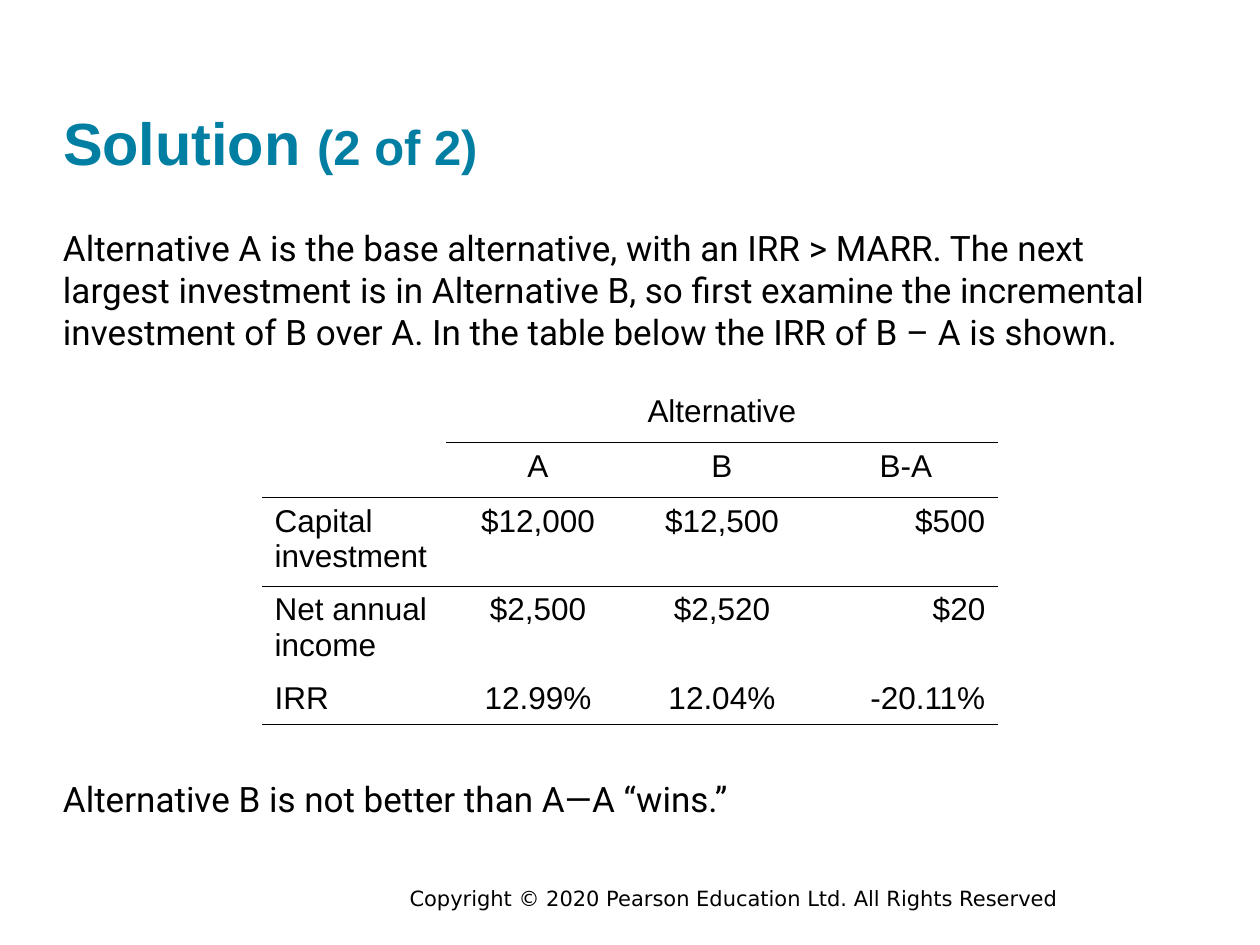
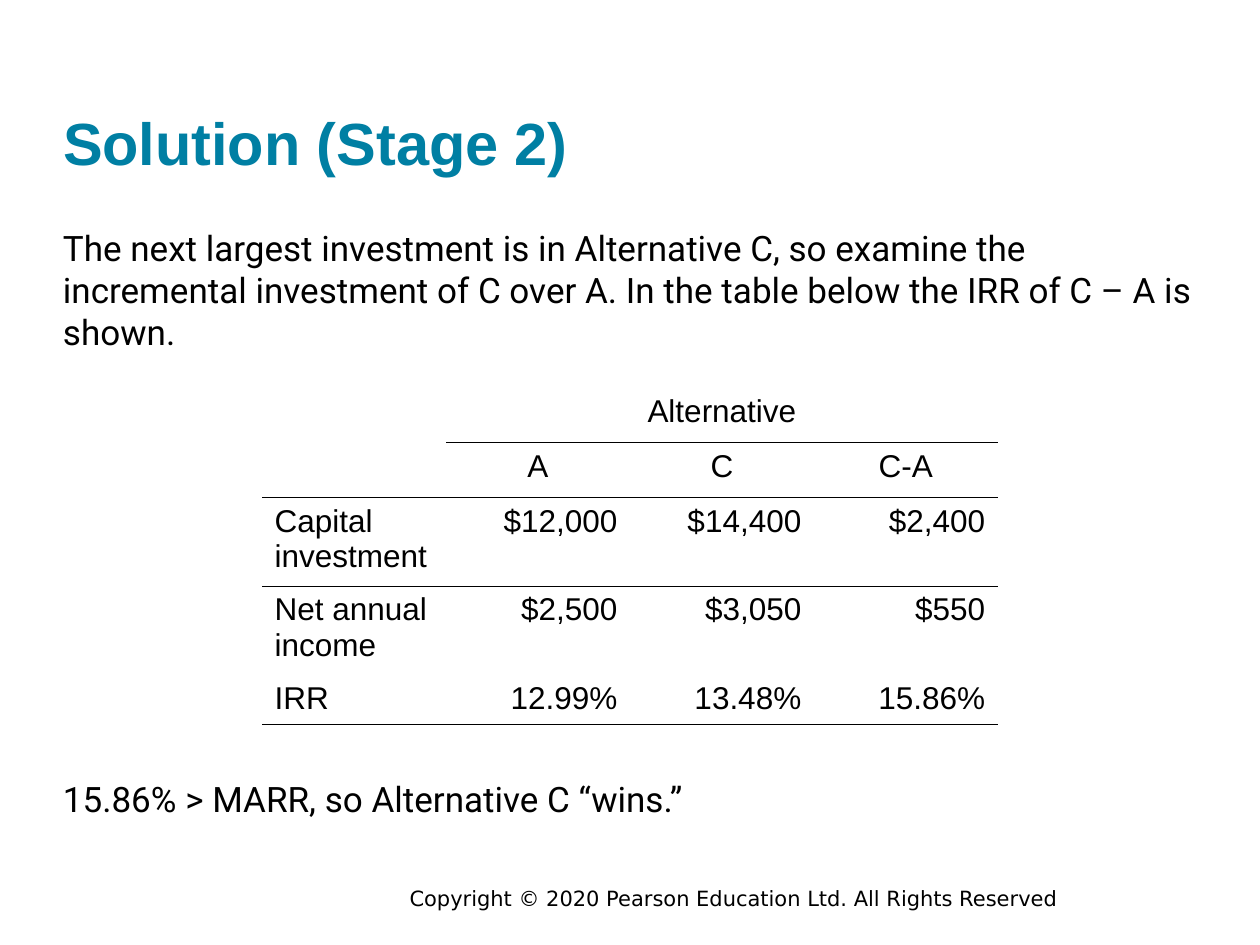
from lxml.etree import SubElement
from pptx import Presentation
from pptx.dml.color import RGBColor
from pptx.enum.text import MSO_ANCHOR, PP_ALIGN
from pptx.oxml.ns import qn
from pptx.util import Inches, Pt

COLORS = {"title": "007FA3", "text": "000000", "rule": "000000"}
COPYRIGHT = "Copyright © 2020 Pearson Education Ltd. All Rights Reserved"
ROW_HEIGHTS = [0.43, 0.44, 0.7, 0.7, 0.4]
COLUMN_WIDTH = 1.46
COLUMN_COUNT = 4
RULE_WIDTH = Pt(0.25)
LEFT, CENTER, RIGHT = PP_ALIGN.LEFT, PP_ALIGN.CENTER, PP_ALIGN.RIGHT


def style_paragraph(paragraph, font_name, size, color="text", bold=False, align=LEFT):
    paragraph.alignment = align
    font = paragraph.font
    font.name = font_name
    font.size = Pt(size)
    font.bold = bold
    font.color.rgb = RGBColor.from_string(COLORS[color])


def clear_margins(frame):
    frame.word_wrap = True
    frame.margin_left = frame.margin_right = 0
    frame.margin_top = frame.margin_bottom = 0


def add_title(slide, heading, part):
    title = slide.shapes.title
    title.left, title.top = Inches(0.5), Inches(0.84)
    title.width, title.height = Inches(9), Inches(0.57)
    frame = title.text_frame
    clear_margins(frame)
    frame.vertical_anchor = MSO_ANCHOR.BOTTOM
    paragraph = frame.paragraphs[0]
    paragraph.add_run().text = heading
    if part:
        part_run = paragraph.add_run()
        part_run.text = part
        part_run.font.size = Pt(28)
    style_paragraph(paragraph, "Arial", 34, "title", bold=True)


def add_text(slide, text, left, top, width, height, font_name, size):
    box = slide.shapes.add_textbox(
        Inches(left), Inches(top), Inches(width), Inches(height))
    clear_margins(box.text_frame)
    paragraph = box.text_frame.paragraphs[0]
    paragraph.text = text
    style_paragraph(paragraph, font_name, size)


def has_rule_below(row, column):
    return row in (1, 2, 4) or (row == 0 and column > 0)


def set_borders(cell, row, column):
    ruled = {
        "a:lnT": row > 0 and has_rule_below(row - 1, column),
        "a:lnB": has_rule_below(row, column),
    }
    properties = cell._tc.get_or_add_tcPr()
    for side in ("a:lnL", "a:lnR", "a:lnT", "a:lnB"):
        line = SubElement(properties, qn(side), w=str(RULE_WIDTH))
        if ruled.get(side):
            fill = SubElement(line, qn("a:solidFill"))
            SubElement(fill, qn("a:srgbClr"), val=COLORS["rule"])
        else:
            SubElement(line, qn("a:noFill"))


def add_comparison(slide, alternatives, figures, figure_aligns):
    rows = [["", "Alternative", "", ""], ["", *alternatives], *figures]
    table = slide.shapes.add_table(
        len(rows), COLUMN_COUNT, Inches(2.08), Inches(3.08),
        Inches(COLUMN_WIDTH * COLUMN_COUNT), Inches(sum(ROW_HEIGHTS))).table
    table.first_row = table.horz_banding = False
    for column in table.columns:
        column.width = Inches(COLUMN_WIDTH)
    for row, height in zip(table.rows, ROW_HEIGHTS):
        row.height = Inches(height)
    for r, texts in enumerate(rows):
        aligns = [LEFT, *(figure_aligns if r > 1 else [CENTER] * 3)]
        for c, (text, align) in enumerate(zip(texts, aligns)):
            cell = table.cell(r, c)
            set_borders(cell, r, c)
            cell.fill.background()
            paragraph = cell.text_frame.paragraphs[0]
            if text:
                paragraph.text = text
            style_paragraph(paragraph, "Arial", 18, align=align)
    table.cell(0, 1).merge(table.cell(0, 3))


def add_solution(deck, heading, part, premise, alternatives, figures,
                 figure_aligns, conclusion):
    slide = deck.slides.add_slide(deck.slide_layouts[5])
    add_text(slide, COPYRIGHT, 3.25, 7.03, 6.58, 0.2, "DejaVu Sans", 12)
    add_title(slide, heading, part)
    add_text(slide, premise, 0.5, 1.8, 9, 1.01, "Roboto", 20)
    add_comparison(slide, alternatives, figures, figure_aligns)
    add_text(slide, conclusion, 0.5, 6.17, 9, 0.34, "Roboto", 20)


def main():
    deck = Presentation()
    deck.slide_width, deck.slide_height = Inches(10), Inches(7.5)
    add_solution(
        deck, "Solution ", "(2 of 2)",
        "Alternative A is the base alternative, with an IRR > MARR. The next "
        "largest investment is in Alternative B, so first examine the incremental "
        "investment of B over A. In the table below the IRR of B – A is shown.",
        ["A", "B", "B-A"],
        [["Capital investment", "$12,000", "$12,500", "$500"],
         ["Net annual income", "$2,500", "$2,520", "$20"],
         ["IRR", "12.99%", "12.04%", "-20.11%"]],
        [CENTER, CENTER, RIGHT],
        "Alternative B is not better than A—A “wins.”")
    add_solution(
        deck, "Solution (Stage 2)", "",
        "The next largest investment is in Alternative C, so examine the "
        "incremental investment of C over A. In the table below the IRR of "
        "C – A is shown.",
        ["A", "C", "C-A"],
        [["Capital investment", "$12,000", "$14,400", "$2,400"],
         ["Net annual income", "$2,500", "$3,050", "$550"],
         ["IRR", "12.99%", "13.48%", "15.86%"]],
        [RIGHT, RIGHT, RIGHT],
        "15.86% > MARR, so Alternative C “wins.”")
    deck.save("out.pptx")


if __name__ == "__main__":
    main()
